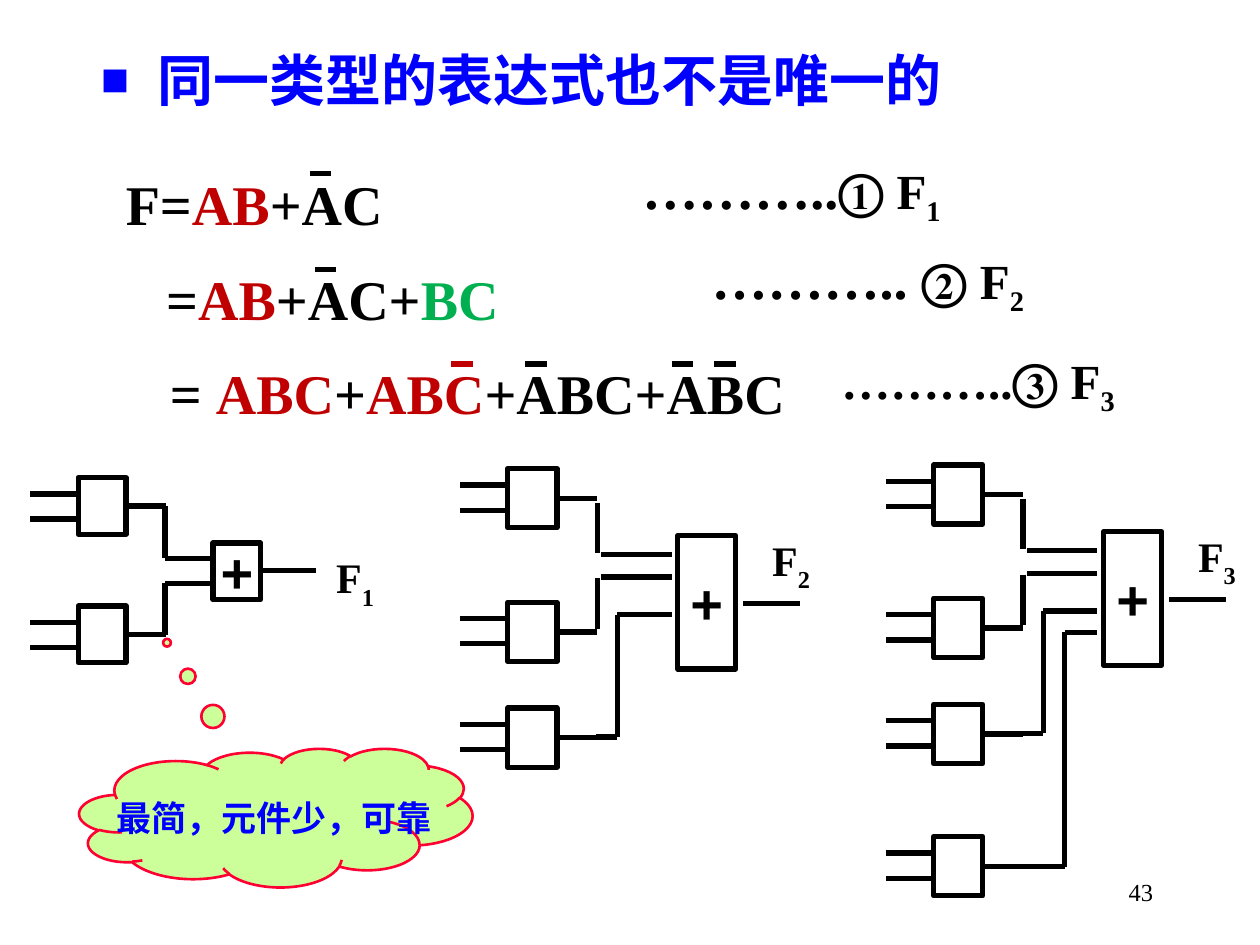
from lxml import etree
from pptx import Presentation
from pptx.dml.color import RGBColor
from pptx.enum.shapes import MSO_CONNECTOR, MSO_SHAPE
from pptx.enum.text import MSO_ANCHOR, PP_ALIGN
from pptx.oxml.ns import qn
from pptx.util import Inches, Pt

BLACK = RGBColor(0x00, 0x00, 0x00)
BLUE = RGBColor(0x00, 0x00, 0xFF)
RED = RGBColor(0xC0, 0x00, 0x00)
GREEN = RGBColor(0x00, 0xB0, 0x50)
CLOUD_FILL = RGBColor(0xCC, 0xFF, 0x99)
CLOUD_LINE = RGBColor(0xFF, 0x00, 0x33)
STRAIGHT = MSO_CONNECTOR.STRAIGHT
RECTANGLE = MSO_SHAPE.RECTANGLE
CLOUD = MSO_SHAPE.CLOUD_CALLOUT
LEFT, CENTER, RIGHT = PP_ALIGN.LEFT, PP_ALIGN.CENTER, PP_ALIGN.RIGHT
TOP, MIDDLE = MSO_ANCHOR.TOP, MSO_ANCHOR.MIDDLE
RIGHT_SIDE = 3

presentation = Presentation()
presentation.slide_width = Inches(10)
presentation.slide_height = Inches(7.5)
slide = presentation.slides.add_slide(presentation.slide_layouts[5])


def write_text(shape, runs, size=32, color=BLACK, font="Times New Roman", bold=True,
               align=LEFT, anchor=TOP, wrap=True, subscript=-25):
    """Fill a shape with runs: each a string, or (string, format); "sub" lowers a run."""
    frame = shape.text_frame
    frame.word_wrap = wrap
    frame.vertical_anchor = anchor
    paragraph = frame.paragraphs[0]
    paragraph.alignment = align
    for item in runs:
        text, style = (item, {}) if isinstance(item, str) else item
        run = paragraph.add_run()
        run.text = text
        run.font.name = font
        run.font.size = Pt(style.get("size", size))
        run.font.bold = bold
        run.font.color.rgb = style.get("color", color)
        if style.get("sub"):
            run.font._element.set("baseline", str(subscript * 1000))
    return paragraph


def add_line(x1, y1, x2, y2, color=BLACK):
    line = slide.shapes.add_connector(STRAIGHT, Inches(x1), Inches(y1), Inches(x2), Inches(y2))
    line.line.color.rgb = color
    line.line.width = Pt(3)
    etree.SubElement(line._element.spPr, qn("a:effectLst"))
    return line


# Heading with a square bullet
title = slide.shapes.title
title.left, title.top, title.width, title.height = map(Inches, (0.7, 0.31, 8.6, 0.64))
properties = title.text_frame.paragraphs[0]._p.get_or_add_pPr()
properties.set("marL", str(Inches(0.45)))
properties.set("indent", str(Inches(-0.45)))
bullet_color = etree.SubElement(properties, qn("a:buClr"))
etree.SubElement(bullet_color, qn("a:srgbClr"), val=str(BLUE))
etree.SubElement(properties, qn("a:buSzPct"), val="84000")
etree.SubElement(properties, qn("a:buFont"), typeface="Arial")
etree.SubElement(properties, qn("a:buChar"), char="■")
write_text(title, ["同一类型的表达式也不是唯一的"], color=BLUE)

# Three forms of F, with bars over the complemented variables
red, green, small, sub = {"color": RED}, {"color": GREEN}, {"size": 28}, {"size": 28, "sub": True}
formulas = [
    (0.9, 1.3, 2.44, 0.64, ["F=", ("AB", red), "+AC"]),
    (1.22, 2.05, 3.28, 0.64, ["=", ("AB", red), "+AC+", ("BC", green)]),
    (1.25, 2.8, 5.25, 0.64, ["= ", ("ABC", red), "+", ("ABC", red), "+ABC+ABC"]),
    (5, 1.17, 3.83, 0.69, ["………..", ("① F", small), ("1", sub)]),
    (5.55, 1.88, 3.83, 0.69, ["……….. ", ("② F", small), ("2", sub)]),
    (6.58, 2.73, 3.33, 0.63, [("………..③ F", small), ("3", sub)]),
]
for left, top, width, height, runs in formulas:
    box = slide.shapes.add_textbox(Inches(left), Inches(top), Inches(width), Inches(height))
    write_text(box, runs)

bars = [(2.46, 1.38, BLACK), (2.5, 2.14, BLACK), (3.58, 2.89, RED),
        (4.17, 2.89, BLACK), (5.33, 2.89, BLACK), (5.67, 2.89, BLACK)]
for left, top, color in bars:
    add_line(left, top, left + 0.17, top, color)

# Circuits: every offset is measured from the top left of the first AND gate
three_inputs = [
    (0.71, 0.27, 0.71, 0.67), (0.74, 0.68, 1.3, 0.68),
    (0.71, 0.87, 0.71, 1.27), (0.74, 0.86, 1.3, 0.86),
    (0.7, 2.13, 0.87, 2.13), (0.87, 2.13, 0.87, 1.16), (0.87, 1.16, 1.3, 1.16),
]
fourth_input = [(0.7, 3.19, 1.04, 3.19), (1.04, 3.19, 1.04, 1.33), (1.04, 1.33, 1.3, 1.33)]
two_inputs = [
    (0.69, 0.23, 0.69, 0.64), (0.69, 0.64, 1.07, 0.64),
    (0.69, 1.25, 0.69, 0.84), (0.69, 0.84, 1.07, 0.84),
]
wide_or = (1.35, 0.53, 0.46, 1.06)
wide_output = (1.87, 1.07, 2.32, 1.07)
wide_label = (2, 0.47)
circuits = [
    ("1", 0.62, 3.79, (0.38, 0.45), [0, 1.02], (1.07, 0.52, 0.38, 0.45),
     two_inputs, (1.45, 0.74, 1.89, 0.74), (1.95, 0.54)),
    ("2", 4.03, 3.72, (0.39, 0.47), [0, 1.06, 1.9], wide_or,
     three_inputs, wide_output, wide_label),
    ("3", 7.41, 3.69, (0.39, 0.47), [0, 1.06, 1.9, 2.95], wide_or,
     three_inputs + fourth_input, wide_output, wide_label),
]
for number, x, y, (gate_width, gate_height), gate_tops, or_gate, wires, output, label in circuits:
    or_left, or_top, or_width, or_height = or_gate
    gates = []
    boxes = [(0, top, gate_width, gate_height) for top in gate_tops] + [or_gate]
    for left, top, width, height in boxes:
        gate = slide.shapes.add_shape(RECTANGLE, Inches(x + left), Inches(y + top),
                                      Inches(width), Inches(height))
        gate.shadow.inherit = False
        gate.fill.background()
        gate.line.color.rgb = BLACK
        gate.line.width = Pt(3)
        gates.append(gate)
    write_text(gates[-1], ["+"], font="Arial", align=CENTER, anchor=MIDDLE, wrap=False)

    for gate, top in zip(gates, gate_tops):
        for pin in (0.13, 0.33):
            add_line(x - 0.38, y + top + pin, x, y + top + pin)
        middle = y + top + gate_height / 2
        wire = add_line(x + gate_width, middle, x + gate_width + 0.32, middle)
        wire.begin_connect(gate, RIGHT_SIDE)
    for x1, y1, x2, y2 in wires:
        add_line(x + x1, y + y1, x + x2, y + y2)
    x1, y1, x2, y2 = output
    output_wire = add_line(x + x1, y + y1, x + x2, y + y2)
    if x1 == or_left + or_width:
        output_wire.begin_connect(gates[-1], RIGHT_SIDE)

    box = slide.shapes.add_textbox(Inches(x + label[0]), Inches(y + label[1]),
                                   Inches(0.58), Inches(0.57))
    write_text(box, ["F", (number, {"sub": True, "size": 24})], size=24, subscript=-30)

# Remark on the first circuit
cloud = slide.shapes.add_shape(CLOUD, Inches(0.63), Inches(5.94), Inches(3.12), Inches(1.1))
cloud.adjustments[0] = -0.277
cloud.adjustments[1] = -1.263
cloud.shadow.inherit = False
cloud.fill.solid()
cloud.fill.fore_color.rgb = CLOUD_FILL
cloud.line.color.rgb = CLOUD_LINE
cloud.line.width = Pt(1.5)
remark = slide.shapes.add_textbox(Inches(0.77), Inches(6.27), Inches(2.81), Inches(0.44))
write_text(remark, ["最简，元件少，可靠"], size=20, color=BLUE, align=CENTER)

page_number = slide.shapes.add_textbox(Inches(7.17), Inches(6.83), Inches(2.08), Inches(0.5))
write_text(page_number, ["43"], size=14, bold=False, align=RIGHT, anchor=MIDDLE)

presentation.save("out.pptx")
